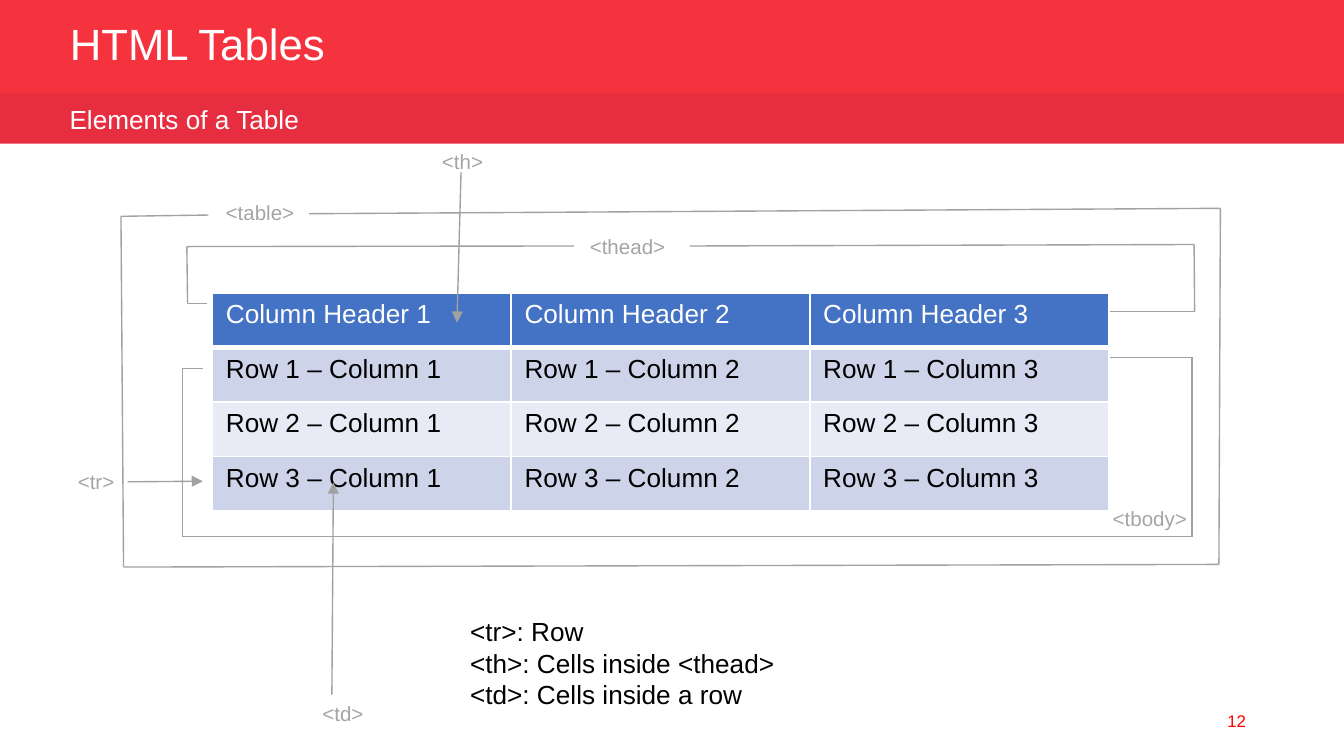
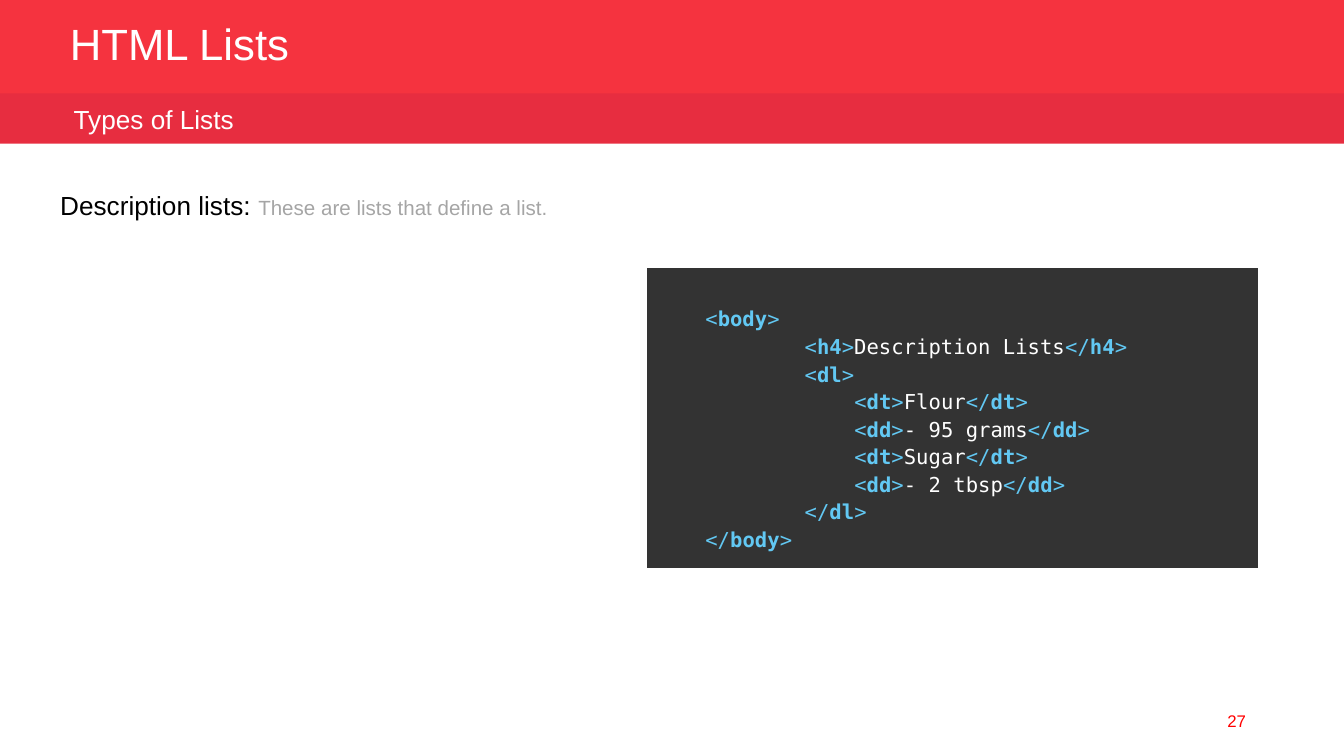
from itertools import pairwise

from lxml.etree import SubElement
from pptx import Presentation
from pptx.dml.color import RGBColor
from pptx.enum.shapes import MSO_CONNECTOR as Connector, MSO_SHAPE as Preset
from pptx.enum.text import MSO_ANCHOR as Anchor, MSO_AUTO_SIZE as AutoSize, PP_ALIGN as Align
from pptx.oxml.ns import qn
from pptx.util import Pt

COLORS = {
    "title_band": "F5333F", "subtitle_band": "E72D40", "white": "FFFFFF",
    "black": "000000", "number": "FF0000", "label": "A5A5A5", "line": "A1A1A1",
    "header": "4472C4", "odd_row": "CDD4EA", "even_row": "E8EBF5",
    "code_fill": "333333", "code_tag": "62C8F3",
}
TABLE_SLIDE = {"title": "HTML Tables", "subtitle": "Elements of a Table",
               "subtitle_left": 30.2, "number": "12"}
LIST_SLIDE = {"title": "HTML Lists", "subtitle": "Types of Lists",
              "subtitle_left": 32.4, "number": "27"}

COLUMNS, BODY_ROWS = 3, 3
TABLE_AT = (113.8, 157, 480, 116.8)
LABELS = {
    "<table>": (113.8, 103.7, 51.8),
    "<thead>": (308.9, 121.7, 55.4),
    "<tbody>": (589, 267.8, 54.7),
    "<tr>": (34.6, 247.7, 33.8),
    "<th>": (229.7, 76.3, 43.9),
    "<td>": (165.6, 372.2, 43.9),
}
BRACKETS = [
    [(111.6, 115.2), (64.8, 115.9), (66.2, 303.8), (653, 302.4), (653.8, 111.6), (165.6, 114.5)],
    [(110.9, 162.7), (100.5, 162.7), (100.1, 132.1), (307.4, 131.8)],
    [(369.4, 131.8), (639.7, 131), (640, 167), (594.7, 167)],
    [(108.7, 197.3), (97.9, 197.3), (97.9, 287.5), (638.6, 287.5), (638.6, 191.5), (594.7, 191.5)],
]
ARROWS = {
    "<tr>": [(68.4, 258.1), (108.7, 257.8)],
    "<th>": [(247, 92.2), (244.8, 172.8)],
    "<td>": [(177.8, 372.2), (178.6, 258.5)],
}
LEGEND = "<tr>: Row\n<th>: Cells inside <thead>\n<td>: Cells inside a row"
DEFINITION = [
    ("Description lists: ", {}),
    ("These are lists that define a list.", {"size": 11, "color": "label"}),
]
CODE = """    <body>
            <h4>Description Lists</h4>
            <dl>
                <dt>Flour</dt>
                <dd>- 95 grams</dd>
                <dt>Sugar</dt>
                <dd>- 2 tbsp</dd>
            </dl>
    </body>"""


def rgb(name):
    return RGBColor.from_string(COLORS[name])


def paint(target, color):
    target.fill.solid()
    target.fill.fore_color.rgb = rgb(color)


def set_margins(target, left, top, right, bottom):
    target.margin_left, target.margin_top = Pt(left), Pt(top)
    target.margin_right, target.margin_bottom = Pt(right), Pt(bottom)


def write(frame, text, align=Align.LEFT, spacing=None, **style):
    para = frame.paragraphs[0]
    para.alignment = align
    if spacing:
        para.line_spacing = spacing
    spans = [(text, {})] if isinstance(text, str) else text
    for words, changes in spans:
        look = {"size": 14, "color": "black", "font": "Arial", "bold": False} | style | changes
        for index, line in enumerate(words.split("\n")):
            if index:
                para.add_line_break()
            if line:
                span = para.add_run()
                span.text = line
                span.font.size = Pt(look["size"])
                span.font.name = look["font"]
                span.font.bold = look["bold"]
                span.font.color.rgb = rgb(look["color"])


def add_text(page, at, text, margins=(7.2, 3.6, 7.2, 3.6), anchor=Anchor.TOP, **style):
    box = page.shapes.add_textbox(*map(Pt, at))
    box.text_frame.word_wrap = True
    box.text_frame.vertical_anchor = anchor
    set_margins(box.text_frame, *margins)
    write(box.text_frame, text, **style)
    return box


def add_band(page, top, height, color):
    band = page.shapes.add_shape(Preset.RECTANGLE, 0, Pt(top), Pt(720), Pt(height))
    band.shadow.inherit = False
    band.line.fill.background()
    paint(band, color)


def add_page(deck, content):
    page = deck.slides.add_slide(deck.slide_layouts[5])
    add_band(page, 0, 50.4, "title_band")
    add_band(page, 50, 27, "subtitle_band")
    title = page.shapes.title
    title.element.getparent().append(title.element)
    title.left, title.top, title.width, title.height = map(Pt, (30.2, 10.1, 337.7, 31.7))
    title.text_frame.auto_size = AutoSize.NONE
    title.text_frame.vertical_anchor = Anchor.MIDDLE
    set_margins(title.text_frame, 7.2, 3.6, 7.2, 3.6)
    write(title.text_frame, content["title"], spacing=0.8, size=23.4, color="white")
    add_text(page, (content["subtitle_left"], 51.8, 235, 24.5), content["subtitle"], color="white")
    add_text(page, (512.6, 375.1, 162, 21.6), content["number"], anchor=Anchor.MIDDLE,
             align=Align.RIGHT, size=9, color="number")
    return page


def add_line(page, start, end):
    line = page.shapes.add_connector(Connector.STRAIGHT, *map(Pt, (*start, *end)))
    line.line.color.rgb = rgb("line")
    line.line.width = Pt(0.75)
    SubElement(line.element.spPr, qn("a:effectLst"))
    return line


def set_borders(cell, **widths):
    properties = cell._tc.get_or_add_tcPr()
    for side, width in widths.items():
        border = SubElement(properties, qn(f"a:ln{side}"), w=str(Pt(width)))
        fill = SubElement(border, qn("a:solidFill"))
        SubElement(fill, qn("a:srgbClr"), val=COLORS["white"])


def add_html_table(page):
    grid = page.shapes.add_table(BODY_ROWS + 1, COLUMNS, *map(Pt, TABLE_AT)).table
    for row in range(BODY_ROWS + 1):
        for column in range(COLUMNS):
            cell = grid.cell(row, column)
            set_borders(cell, L=1, R=1, T=3 if row == 1 else 1, B=1 if row else 3)
            if row == 0:
                paint(cell, "header")
                write(cell.text_frame, f"Column Header {column + 1}", color="white")
            else:
                paint(cell, "odd_row" if row % 2 else "even_row")
                write(cell.text_frame, f"Row {row} – Column {column + 1}")


def build_table_slide(deck):
    page = add_page(deck, TABLE_SLIDE)
    add_html_table(page)
    for points in BRACKETS:
        for start, end in pairwise(points):
            add_line(page, start, end)
    boxes = {
        tag: add_text(page, (*place, 20.9), tag, margins=(7.2, 3.6, 0, 3.6), size=11, color="label")
        for tag, place in LABELS.items()
    }
    for tag, (start, end) in ARROWS.items():
        arrow = add_line(page, start, end)
        SubElement(arrow.line._get_or_add_ln(), qn("a:tailEnd"), type="triangle")
        if tag == "<tr>":
            arrow.begin_connect(boxes[tag], 3)
    add_text(page, (244.8, 326.2, 182.9, 58.3), LEGEND)


def code_spans(code):
    lead, *pieces = code.split("<")
    spans = [(lead, {})]
    tag_look = {"color": "code_tag"}
    for piece in pieces:
        name, _, after = piece.partition(">")
        opening = "</" if name.startswith("/") else "<"
        spans += [(opening, tag_look), (name.strip("/"), tag_look | {"bold": True}),
                  (">", tag_look), (after, {})]
    return spans


def build_list_slide(deck):
    page = add_page(deck, LIST_SLIDE)
    add_text(page, (25.2, 94.3, 637.9, 264.2), DEFINITION, margins=(7.2, 7.2, 7.2, 7.2))
    panel = page.shapes.add_table(1, 1, *map(Pt, (346.3, 143.3, 328.3, 157.5))).table
    cell = panel.cell(0, 0)
    set_margins(cell, 5, 19.8, 5, 5)
    paint(cell, "code_fill")
    write(cell.text_frame, code_spans(CODE), spacing=1.15, size=11,
          font="DejaVu Sans Mono", color="white")


def main():
    deck = Presentation()
    deck.slide_width, deck.slide_height = Pt(720), Pt(405)
    build_table_slide(deck)
    build_list_slide(deck)
    deck.save("out.pptx")


if __name__ == "__main__":
    main()
